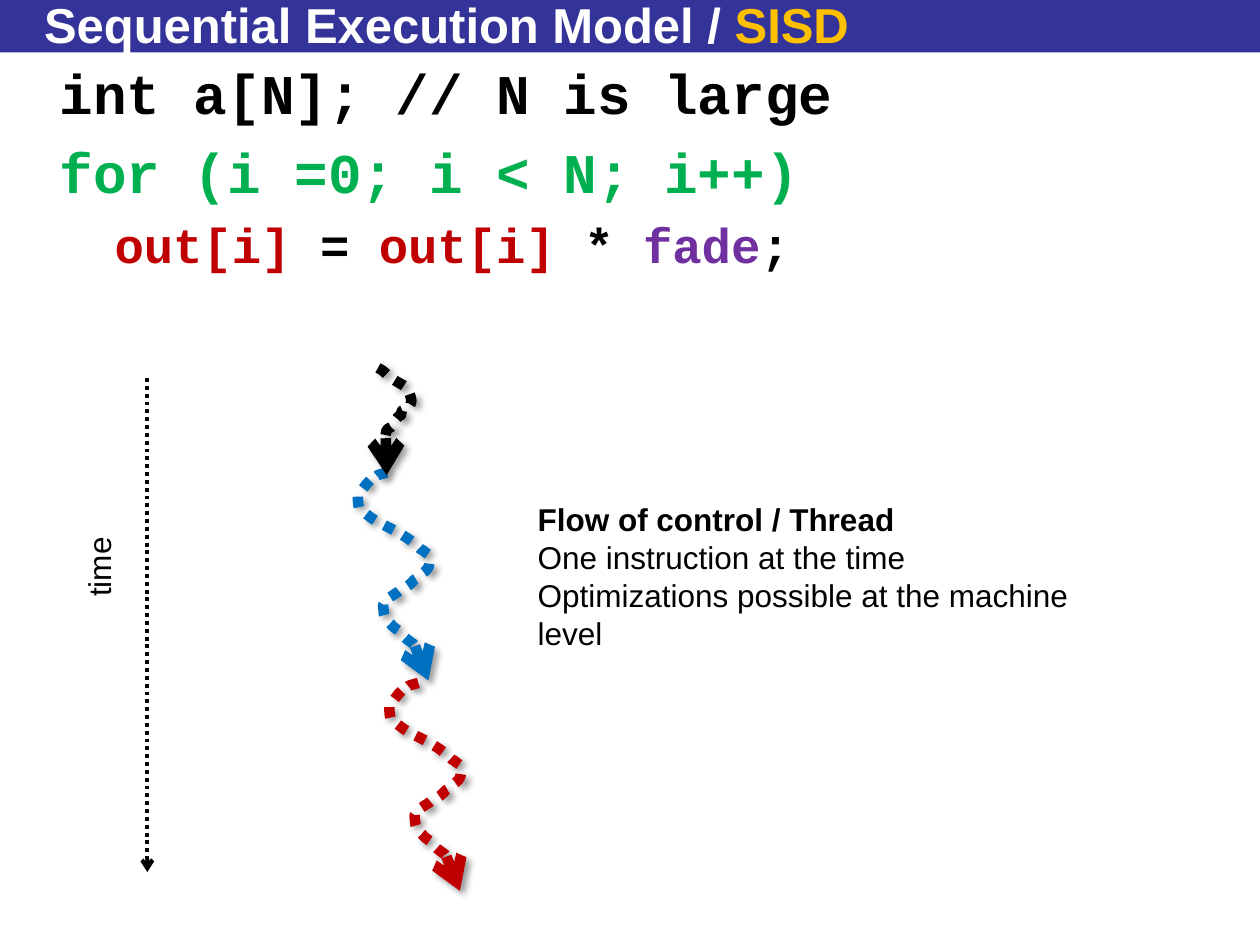
from dataclasses import dataclass

from lxml import etree
from pptx import Presentation
from pptx import util as u
from pptx.dml.color import RGBColor
from pptx.enum import dml, shapes, text
from pptx.oxml.ns import qn


@dataclass(frozen=True)
class Theme:
    sans: str = "Arial"
    mono: str = "Courier New"
    black: str = "000000"
    white: str = "FFFFFF"
    bar: str = "333399"
    gold: str = "FFC000"
    green: str = "00B050"
    red: str = "C00000"
    blue: str = "0070C0"
    purple: str = "7030A0"
    title_size: int = 28
    code_size: int = 32
    nested_size: int = 28
    note_size: int = 18
    axis_width: float = 2.25
    thread_width: float = 6


THEME = Theme()


@dataclass(frozen=True)
class Run:
    text: str
    color: str = THEME.black
    bold: bool = False


@dataclass(frozen=True)
class Line:
    runs: tuple[Run, ...]
    size: int
    font: str = THEME.sans
    indent: float = 0
    level: int = 0
    space_before: int = 0  # percent of the line


@dataclass(frozen=True)
class Box:
    """Place of a text block, in centimetres."""
    left: float
    top: float
    width: float
    height: float


@dataclass(frozen=True)
class Thread:
    points: tuple[tuple[int, int], ...]
    color: str
    shift: tuple[int, int] = (0, 0)


# Curve points count in hundredths of an inch: a start, then Bézier triples.
GRID = u.Cm(0.0254)
FIRST_STEP = (
    (300, 292), (305, 294), (307, 298), (312, 301), (315, 303), (319, 305), (322, 307),
    (327, 315), (330, 322), (319, 326), (317, 334), (320, 326), (315, 332),
    (306, 343), (315, 336), (307, 341), (305, 350), (307, 369), (307, 377),
)
WAVE = (
    (307, 375), (305, 376), (302, 376), (300, 377), (296, 380), (304, 377), (296, 379),
    (295, 381), (292, 382), (291, 384), (290, 385), (289, 387), (288, 388),
    (286, 390), (285, 391), (284, 392), (284, 396), (284, 400), (285, 403),
    (285, 405), (290, 407), (292, 409), (299, 415), (311, 419), (320, 425),
    (325, 428), (330, 432), (334, 436), (335, 436), (336, 437), (337, 438),
    (339, 439), (341, 441), (341, 441), (341, 447), (342, 451), (334, 456),
    (333, 458), (331, 459), (329, 460), (326, 463), (324, 466), (318, 468),
    (315, 471), (310, 473), (307, 476), (306, 477), (304, 480), (304, 480),
    (305, 485), (303, 490), (310, 495), (311, 497), (314, 499), (317, 501),
    (319, 505), (324, 508), (328, 511), (330, 513), (330, 516), (332, 518),
    (333, 519), (335, 519), (335, 520), (336, 522), (340, 538), (340, 540),
)
THREADS = (
    Thread(WAVE, THEME.blue),
    Thread(WAVE, THEME.red, shift=(25, 167)),
    Thread(FIRST_STEP, THEME.black),
)

TITLE = (Line((Run("Sequential Execution Model / ", THEME.white, True),
               Run("SISD", THEME.gold, True)), THEME.title_size),)
CODE = (
    Line((Run("int a[N]; // N is large", bold=True),),
         THEME.code_size, THEME.mono, 0.95, space_before=20),
    Line((Run("for (i =0; i < N; i++)", THEME.green, True),),
         THEME.code_size, THEME.mono, 0.95, space_before=20),
    Line((Run("out[i]", THEME.red, True), Run(" = ", bold=True),
          Run("out[i]", THEME.red, True), Run(" * ", bold=True),
          Run("fade", THEME.purple, True), Run(";", bold=True)),
         THEME.nested_size, THEME.mono, 2.06, level=1, space_before=20),
)
NOTES = (
    Line((Run("Flow of control / Thread", bold=True),), THEME.note_size),
    Line((Run("One instruction at the time"),), THEME.note_size),
    Line((Run("Optimizations possible at the machine level"),), THEME.note_size),
)
TIME = (Line((Run("time"),), THEME.note_size),)


def rgb(color: str) -> RGBColor:
    return RGBColor.from_string(color)


def apply(target, values: dict) -> None:
    for name, value in values.items():
        setattr(target, name, value)


def add_child(parent, tag: str, **attributes: str):
    return etree.SubElement(parent, qn(tag), attributes)


def add_text(slide, box: Box, lines: tuple[Line, ...], wrap: bool = True,
             anchor=text.MSO_ANCHOR.TOP):
    shape = slide.shapes.add_textbox(
        u.Cm(box.left), u.Cm(box.top), u.Cm(box.width), u.Cm(box.height))
    frame = shape.text_frame
    apply(frame, {"word_wrap": wrap, "vertical_anchor": anchor})
    for index, line in enumerate(lines):
        paragraph = frame.add_paragraph() if index else frame.paragraphs[0]
        paragraph.level = line.level
        properties = paragraph._p.get_or_add_pPr()
        properties.set("marL", str(u.Cm(line.indent)))
        properties.set("indent", "0")
        spacing = add_child(properties, "a:spcBef")
        add_child(spacing, "a:spcPct", val=str(line.space_before * 1000))
        for part in line.runs:
            run = paragraph.add_run()
            run.text = part.text
            apply(run.font, {"name": line.font, "size": u.Pt(line.size), "bold": part.bold})
            run.font.color.rgb = rgb(part.color)
    return shape


def style_arrow(shape, color: str, width: float):
    """Dot the line, point its end, and return the empty effect list."""
    shape.line.color.rgb = rgb(color)
    apply(shape.line, {"width": u.Pt(width), "dash_style": dml.MSO_LINE.ROUND_DOT})
    add_child(shape.line._get_or_add_ln(), "a:tailEnd", type="arrow")
    return add_child(shape.element.spPr, "a:effectLst")


def bend_segments(shape) -> None:
    """Turn each three straight segments into one Bézier curve."""
    outline = shape.element.spPr.find(".//" + qn("a:path"))
    segments = outline.findall(qn("a:lnTo"))
    for start in range(0, len(segments), 3):
        curve = add_child(outline, "a:cubicBezTo")
        for segment in segments[start:start + 3]:
            curve.append(segment[0])
            outline.remove(segment)


def add_thread(slide, thread: Thread) -> None:
    dx, dy = thread.shift
    start, *rest = [(x + dx, y + dy) for x, y in thread.points]
    builder = slide.shapes.build_freeform(*start, scale=GRID)
    builder.add_line_segments(rest, close=False)
    shape = builder.convert_to_shape()
    bend_segments(shape)
    shape.fill.background()
    effects = style_arrow(shape, thread.color, THEME.thread_width)
    shadow = add_child(effects, "a:outerShdw", blurRad=str(u.Pt(4)), dist=str(u.Pt(3)),
                       dir="2700000", algn="tl", rotWithShape="0")
    add_child(add_child(shadow, "a:srgbClr", val=THEME.black), "a:alpha", val="40000")


def add_title_bar(slide, width: int) -> None:
    bar = slide.shapes.add_shape(shapes.MSO_SHAPE.RECTANGLE, 0, 0, width, u.Cm(1.06))
    bar.shadow.inherit = False
    bar.fill.solid()
    bar.fill.fore_color.rgb = rgb(THEME.bar)
    bar.line.fill.background()
    add_text(slide, Box(0.64, 0.13, 23.5, 0.71), TITLE, anchor=text.MSO_ANCHOR.MIDDLE)


def add_time_axis(slide) -> None:
    axis = slide.shapes.add_connector(
        shapes.MSO_CONNECTOR.STRAIGHT, u.Cm(2.97), u.Cm(7.62), u.Cm(2.97), u.Cm(17.58))
    style_arrow(axis, THEME.black, THEME.axis_width)
    label = add_text(slide, Box(1.14, 10.92, 1.7, 1.02), TIME, wrap=False)
    label.rotation = 270


def main() -> None:
    presentation = Presentation()
    apply(presentation, {"slide_width": u.Cm(25.4), "slide_height": u.Cm(19.05)})
    slide = presentation.slides.add_slide(presentation.slide_layouts[6])
    add_title_bar(slide, presentation.slide_width)
    add_text(slide, Box(0, 1.06, 25.4, 17.99), CODE)
    add_time_axis(slide)
    for thread in THREADS:
        add_thread(slide, thread)
    add_text(slide, Box(10.59, 9.96, 12.67, 2.54), NOTES, wrap=False)
    presentation.save("out.pptx")


if __name__ == "__main__":
    main()
